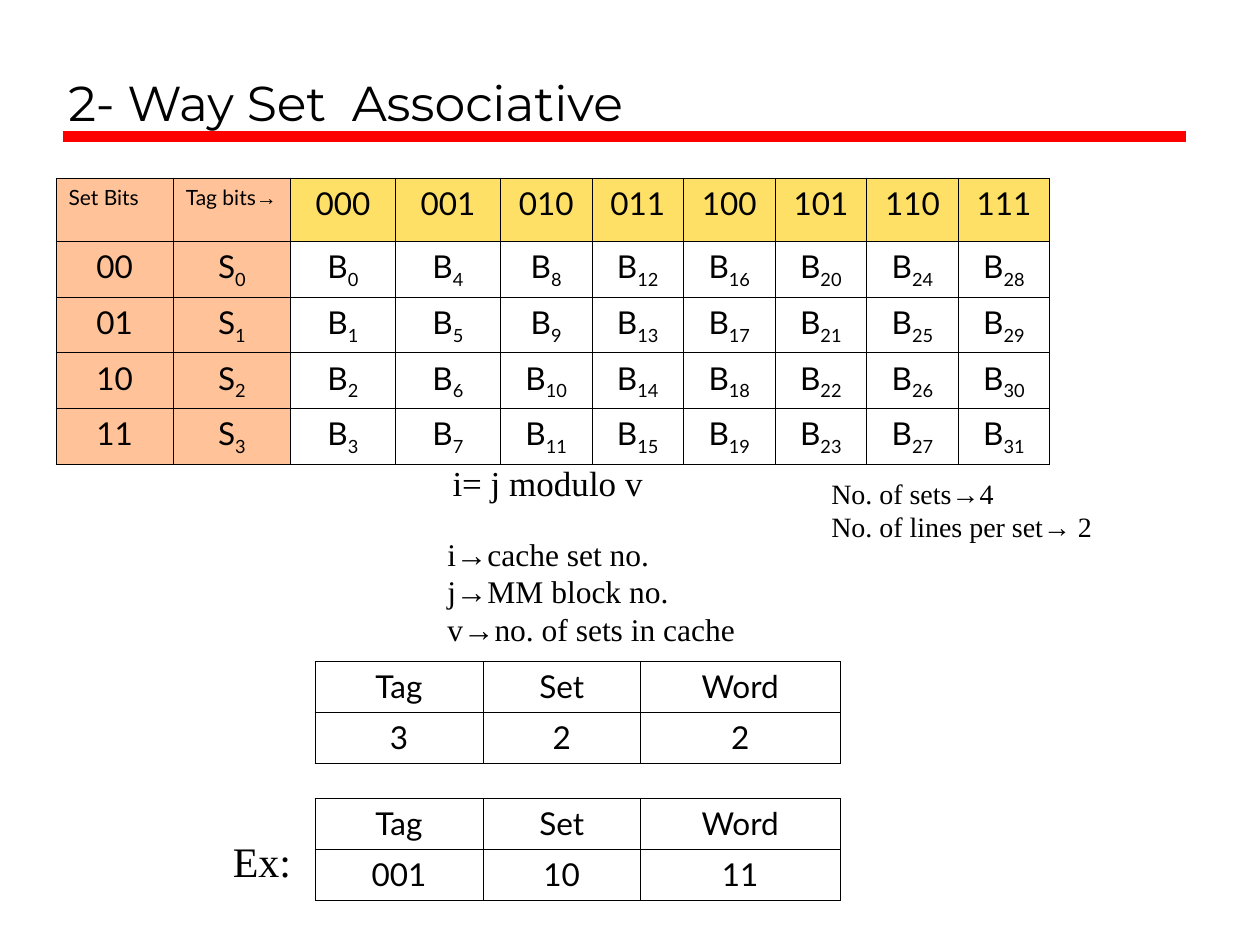
from dataclasses import dataclass

from lxml.etree import SubElement
from pptx import Presentation
from pptx.dml.color import RGBColor
from pptx.enum.shapes import MSO_CONNECTOR as Connector
from pptx.enum.text import MSO_ANCHOR as Anchor, MSO_AUTO_SIZE as AutoSize, PP_ALIGN as Align
from pptx.oxml.ns import qn
from pptx.util import Pt

ARROW = "→"
SUBSCRIPT = "_"  # marks the start of a subscript in a cell


@dataclass(frozen=True)
class Theme:
    ink: RGBColor = RGBColor(0, 0, 0)
    rule: RGBColor = RGBColor(0xFF, 0, 0)
    set_fill: RGBColor = RGBColor(0xFF, 0xC2, 0x99)
    tag_fill: RGBColor = RGBColor(0xFF, 0xE0, 0x66)
    title_font: str = "Montserrat"
    table_font: str = "Lato"
    body_font: str = "Times New Roman"
    arrow_font: str = "Arial"
    title_size: float = 28
    example_size: float = 24
    formula_size: float = 20
    body_size: float = 18
    note_size: float = 16
    label_size: float = 12
    border: float = 0.45


THEME = Theme()


# Text
def add_run(paragraph, text, font, size):
    run = paragraph.add_run()
    run.text = text
    run.font.name = font
    run.font.size = Pt(size)
    run.font.color.rgb = THEME.ink
    return run


def write_line(paragraph, line, font, size):
    before, arrow, after = line.partition(ARROW)
    for text in (before, arrow, after):
        if text:
            add_run(paragraph, text, THEME.arrow_font if text == ARROW else font, size)


def add_text(slide, box, lines, size, font=THEME.body_font, anchor=Anchor.TOP, wrap=True, grow=True):
    frame = slide.shapes.add_textbox(*map(Pt, box)).text_frame
    frame.word_wrap = wrap
    frame.vertical_anchor = anchor
    frame.auto_size = AutoSize.SHAPE_TO_FIT_TEXT if grow else AutoSize.NONE
    for index, line in enumerate(lines):
        paragraph = frame.add_paragraph() if index else frame.paragraphs[0]
        write_line(paragraph, line, font, size)


# Tables
def set_borders(cell):
    properties = cell._tc.get_or_add_tcPr()
    for side in ("a:lnL", "a:lnR", "a:lnT", "a:lnB"):
        line = SubElement(properties, qn(side), w=str(int(Pt(THEME.border))))
        fill = SubElement(line, qn("a:solidFill"))
        SubElement(fill, qn("a:srgbClr"), val=str(THEME.ink))


def write_cell(cell, text, fill=None, is_label=False):
    set_borders(cell)
    if fill is None:
        cell.fill.background()
    else:
        cell.fill.solid()
        cell.fill.fore_color.rgb = fill
    paragraph = cell.text_frame.paragraphs[0]
    if is_label:
        write_line(paragraph, text, THEME.table_font, THEME.label_size)
        return
    paragraph.alignment = Align.CENTER
    base, _, index = text.partition(SUBSCRIPT)
    add_run(paragraph, base, THEME.table_font, THEME.body_size)
    if index:
        run = add_run(paragraph, index, THEME.table_font, THEME.body_size)
        run.font._element.set("baseline", "-25000")


def add_grid(slide, left, top, widths, heights):
    table = slide.shapes.add_table(
        len(heights), len(widths), Pt(left), Pt(top), Pt(sum(widths)), Pt(sum(heights))
    ).table
    table.first_row = table.horz_banding = False
    for column, width in zip(table.columns, widths):
        column.width = Pt(width)
    for row, height in zip(table.rows, heights):
        row.height = Pt(height)
    return table


def add_cache_table(slide):
    sets, tags = 4, 8
    rows = [["Set Bits", "Tag bits" + ARROW] + [f"{tag:03b}" for tag in range(tags)]]
    for number in range(sets):
        blocks = [f"B_{number + sets * tag}" for tag in range(tags)]
        rows.append([f"{number:02b}", f"S_{number}"] + blocks)
    widths = [67] * 2 + [60] * 2 + [52.33] * 6
    table = add_grid(slide, 32, 102, widths, [36] + [31.8] * sets)
    for row, texts in enumerate(rows):
        for column, text in enumerate(texts):
            if column < 2:
                fill = THEME.set_fill
            else:
                fill = THEME.tag_fill if row == 0 else None
            write_cell(table.cell(row, column), text, fill, row == 0 and column < 2)


def add_address_table(slide, top, values):
    table = add_grid(slide, 180, top, [96, 90, 114], [29.2] * 2)
    for row, texts in enumerate((("Tag", "Set", "Word"), values)):
        for column, text in enumerate(texts):
            write_cell(table.cell(row, column), text)


# Title rule
def add_rule(slide, left, right, y):
    line = slide.shapes.add_connector(Connector.STRAIGHT, Pt(left), Pt(y), Pt(right), Pt(y))
    line.line.color.rgb = THEME.rule
    line.line.width = Pt(6)
    SubElement(line._element.spPr, qn("a:effectLst"))


def main():
    presentation = Presentation()
    presentation.slide_width, presentation.slide_height = Pt(720), Pt(540)
    slide = presentation.slides.add_slide(presentation.slide_layouts[6])

    # Heading
    add_rule(slide, 36, 678, 78)
    add_text(slide, (32, 12, 646, 66.5), ["2- Way Set  Associative"], THEME.title_size,
             THEME.title_font, Anchor.BOTTOM, grow=False)

    # Mapping of blocks to sets, and the address fields
    add_cache_table(slide)
    add_address_table(slide, 378, ("3", "2", "2"))
    add_address_table(slide, 456, ("001", "10", "11"))

    # Explanations
    add_text(slide, (126, 474, 72, 36), ["Ex:"], THEME.example_size)
    add_text(slide, (251.5, 260, 123, 31.5), ["i= j modulo v"], THEME.formula_size, wrap=False)
    add_text(slide, (248.5, 302, 216, 72),
             ["i→cache set no.", "j→MM block no.", "v→no. of sets in cache"], THEME.body_size)
    add_text(slide, (468, 268.5, 210, 46),
             ["No. of sets→4", "No. of lines per set→ 2"], THEME.note_size)

    presentation.save("out.pptx")


if __name__ == "__main__":
    main()
